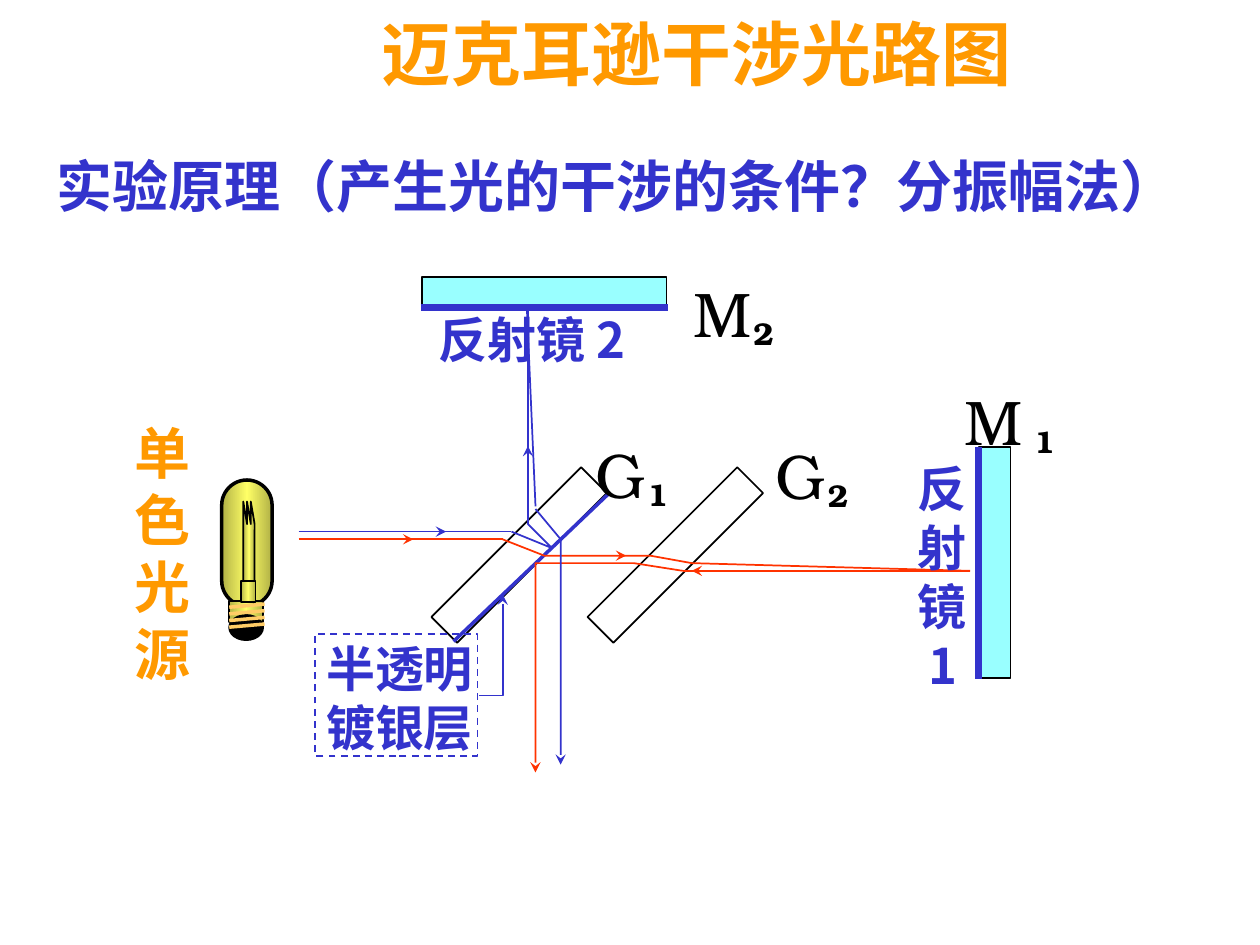
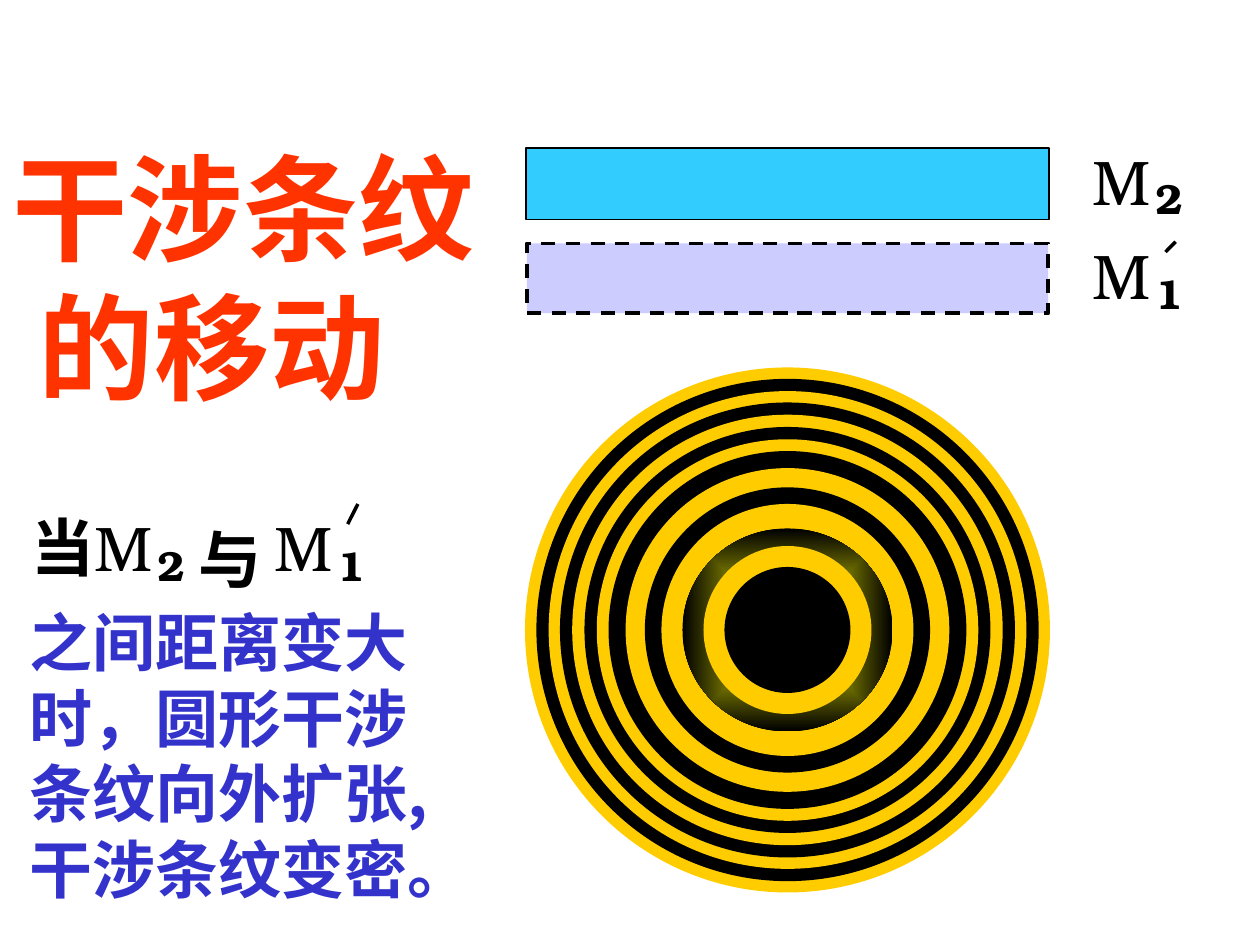
from dataclasses import dataclass

from pptx import Presentation
from pptx.dml.color import RGBColor
from pptx.enum.dml import MSO_LINE
from pptx.enum.shapes import MSO_CONNECTOR, MSO_SHAPE
from pptx.enum.text import MSO_AUTO_SIZE, PP_ALIGN
from pptx.oxml import parse_xml
from pptx.oxml.ns import nsdecls, qn
from pptx.oxml.xmlchemy import OxmlElement
from pptx.util import Pt


@dataclass(frozen=True)
class Theme:
    cjk: str = "Noto Sans CJK SC"
    serif: str = "TeX Gyre Bonum"
    black: str = "000000"
    blue: str = "3333CC"
    red: str = "FF3300"
    orange: str = "FF9900"
    glass: str = "99FFFF"
    mirror: str = "33CCFF"
    image: str = "CCCCFF"
    fringe: str = "FFCC00"
    thread: str = "FFCC66"
    bulb: tuple = ("B1B146", "FFFF66", "B1B146")
    glow: tuple = ("FFFF00", "000000")
    banner: int = 66
    title: int = 40
    heading: int = 32
    body: int = 36
    label: int = 28
    index: int = 24
    small_index: int = 18


T = Theme()
RECT, OVAL = MSO_SHAPE.RECTANGLE, MSO_SHAPE.OVAL


class Deck:
    def __init__(self, theme):
        self.t = theme
        self.prs = Presentation()
        self.prs.slide_width, self.prs.slide_height = Pt(720), Pt(540)

    def new_slide(self):
        self.s = self.prs.slides.add_slide(self.prs.slide_layouts[6])

    def stroke(self, line, color, width, arrow=False, dash=False):
        if color is None:
            line.fill.background()
            return
        line.color.rgb = RGBColor.from_string(color)
        line.width = Pt(width)
        if dash:
            line.dash_style = MSO_LINE.DASH
        if arrow:
            tail = OxmlElement("a:tailEnd")
            tail.set("type", "stealth")
            line._get_or_add_ln().append(tail)

    def paint(self, sp, fill, radial=False):
        if isinstance(fill, str):
            sp.fill.solid()
            sp.fill.fore_color.rgb = RGBColor.from_string(fill)
            return
        sp.fill.background()
        if fill is None:
            return
        step = 100000 // (len(fill) - 1)
        stops = "".join(f'<a:gs pos="{i * step}"><a:srgbClr val="{c}"/></a:gs>'
                        for i, c in enumerate(fill))
        mode = ('<a:path path="rect"><a:fillToRect l="50000" t="50000" r="50000" b="50000"/></a:path>'
                if radial else '<a:lin ang="10800000" scaled="0"/>')
        grad = parse_xml(f'<a:gradFill {nsdecls("a")}><a:gsLst>{stops}</a:gsLst>{mode}</a:gradFill>')
        pr = sp._element.spPr
        pr.replace(pr.find(qn("a:noFill")), grad)

    def shape(self, kind, x, y, w, h, fill=None, line=None, width=1,
              dash=False, turn=0, radial=False):
        sp = self.s.shapes.add_shape(kind, Pt(x), Pt(y), Pt(w), Pt(h))
        sp.shadow.inherit = False
        sp.rotation = turn
        self.paint(sp, fill, radial)
        self.stroke(sp.line, line, width, dash=dash)
        return sp

    def line(self, color, start, end, width=1, arrow=False):
        c = self.s.shapes.add_connector(MSO_CONNECTOR.STRAIGHT, *map(Pt, start + end))
        c._element.spPr.append(OxmlElement("a:effectLst"))
        self.stroke(c.line, color, width, arrow)

    def bend(self, color, *points, fill=None, arrow=False):
        pts = [(Pt(x), Pt(y)) for x, y in points]
        fb = self.s.shapes.build_freeform(*pts[0])
        fb.add_line_segments(pts[1:], close=False)
        sp = fb.convert_to_shape()
        sp.shadow.inherit = False
        self.paint(sp, fill)
        self.stroke(sp.line, color, 1, arrow)

    def text(self, x, y, w, h, lines, size, color, font=None, bold=True,
             wrap=False, last_indent=0, align=PP_ALIGN.LEFT):
        tf = self.s.shapes.add_textbox(Pt(x), Pt(y), Pt(w), Pt(h)).text_frame
        tf.word_wrap = wrap
        tf.auto_size = MSO_AUTO_SIZE.SHAPE_TO_FIT_TEXT
        tf.text = "\n".join(lines)
        for p in tf.paragraphs:
            p.alignment = align
            f = p.font
            f.name, f.size, f.bold = font or self.t.cjk, Pt(size), bold
            f.color.rgb = RGBColor.from_string(color)
            for r in p.runs:
                r.font.name = f.name
                ea = OxmlElement("a:ea")
                ea.set("typeface", self.t.cjk)
                r.font._element.append(ea)
        if last_indent:
            tf.paragraphs[-1]._p.get_or_add_pPr().set("marL", str(Pt(last_indent)))

    def symbol(self, x, y, letter, index, dx=36, dy=17.3, size=T.index):
        t = self.t
        self.text(x, y, 47.5 if letter == "M" else 43.2, 50.4, [letter],
                  t.body, t.black, t.serif, bold=False)
        self.text(x + dx, y + dy, 14.4 + size * 0.67, 7.2 + size * 1.2, [index],
                  size, t.black, t.serif)


def light_path(d):
    d.new_slide()
    for x in (236.2, 325.4):
        d.shape(RECT, x, 306.7, 121, 20.9, line=T.black, turn=315)
    d.line(T.red, (170.6, 308.2), (287.3, 308.2))
    d.line(T.blue, (348.5, 281.5), (259.2, 366.5), 2)
    d.bend(T.red, (287.3, 308.2), (311, 317.5), (371.5, 317.5), (395.3, 321.8), (554.4, 326.2))
    d.line(T.red, (554.4, 326.2), (390.2, 326.2))
    d.bend(T.red, (390.2, 326.2), (362.2, 321.8), (306, 321.8), (306, 441.4), arrow=True)
    d.line(T.blue, (170.6, 303.8), (292.3, 303.8))
    d.bend(T.blue, (292.3, 303.8), (315.4, 313.2), (301.7, 299.5), (301.7, 175.7))
    d.line(T.blue, (301, 174.2), (306, 289.4))
    d.bend(T.blue, (306, 290.9), (320.4, 308.2), (320.4, 437), arrow=True)

    d.shape(RECT, 241.2, 158.4, 139.7, 17, T.glass, T.black)
    d.shape(RECT, 559.4, 255.6, 18, 132, T.glass, T.black)
    d.line(T.blue, (559.4, 255.6), (559.4, 388), 4)
    d.line(T.blue, (240.5, 175.7), (381.6, 175.7), 4)

    for color, start, end in ((T.blue, (226.8, 303.8), (254.9, 303.8)),
                              (T.blue, (301.7, 268.6), (301.7, 254.9)),
                              (T.red, (208, 308.2), (236.2, 308.2)),
                              (T.red, (329.8, 317.5), (357.8, 317.5)),
                              (T.red, (423.4, 326.2), (395.3, 326.2))):
        d.line(color, start, end, arrow=True)
    for x, y, letter, index, dx in ((389.5, 153.4, "M", "2", 33.8),
                                    (544.3, 215.3, "M", "1", 39.6),
                                    (436.3, 246.2, "G", "2", 29.5),
                                    (333.4, 245.5, "G", "1", 29.5)):
        d.symbol(x, y, letter, index, dx, 22.3, T.small_index)

    d.text(69.8, 235.4, 46.8, 161.3, "单色光源", T.heading, T.orange)
    d.text(517, 258.5, 42.5, 141.8, "反射镜1", T.label, T.blue, last_indent=6.3)
    d.text(243.4, 173.5, 133.2, 41, ["反射镜 2"], T.label, T.blue)

    glass = d.shape(MSO_SHAPE.ROUNDED_RECTANGLE, 126.7, 274.3, 28.8, 72, T.bulb, T.black, 2)
    glass.adjustments[0] = 0.5
    d.shape(RECT, 131, 343.4, 19.4, 12.2, T.bulb, T.black)
    d.shape(OVAL, 131, 351.4, 19.4, 14.4, T.black, T.black)
    coil = [(139 + 2.16 * (i // 2 + i % 2), 299.5 if i % 2 else 286.6) for i in range(6)]
    d.bend(T.black, (139, 343.4), *coil, (145.4, 345.6), fill=T.bulb)
    for i in range(4):
        y = 347 + 3.8 * i
        d.line(T.thread, (131, y), (151.2, y - 1.8), 2)
    d.shape(RECT, 137.5, 332, 8.6, 12.2, T.bulb, T.black)

    d.text(179.3, 361.4, 98.6, 74.9, ["半透明", "镀银层"], T.label, T.blue)
    d.shape(RECT, 180, 362.2, 92.9, 69.8, line=T.blue, dash=True)
    d.bend(T.blue, (273.6, 397.4), (287.3, 397.4), (287.3, 339.8), arrow=True)
    d.text(211, 2.2, 374.4, 55.4, ["迈克耳逊干涉光路图"], T.title, T.orange)
    d.text(25.2, 82.8, 676, 46, ["实验原理（产生光的干涉的条件？分振幅法）"],
           T.heading, T.blue, wrap=True, align=PP_ALIGN.JUSTIFY)


def fringe_motion(d):
    d.new_slide()

    def disc(w, h, fill, **style):
        d.shape(OVAL, 450 - w / 2, 360 - h / 2, w, h, fill, **style)

    for i, size in enumerate((300, 287, 273, 260, 246, 232, 218, 204.5, 185, 163, 144)):
        disc(size, size, T.black if i % 2 else T.fringe)
    disc(120, 116, T.glow, radial=True)
    disc(95, 95, T.fringe, line=T.fringe)
    disc(72, 72, T.black)

    d.shape(RECT, 300.5, 84.5, 299, 41, T.mirror, T.black)
    d.shape(RECT, 301, 139, 298, 40, T.image, T.black, 2, dash=True)
    for x, y, index in ((617, 77.8, "2"), (617, 131.8, "1"),
                        (46.8, 287.3, "2"), (149.8, 287.3, "1")):
        d.symbol(x, y, "M", index)
    d.line(T.black, (671.8, 138.2), (666, 144), 2)
    d.line(T.black, (204.5, 288), (198.7, 299.5), 2)
    for x, y, word in ((10.8, 287.3, "当"), (106.6, 293.8, "与")):
        d.text(x, y, 50.4, 50.4, [word], T.body, T.black, T.serif)
    d.text(10, 341.3, 266.4, 180,
           ["之间距离变大", "时，圆形干涉", "条纹向外扩张,", "干涉条纹变密。"], T.body, T.blue)
    d.text(0, 74.9, 278.6, 165.6, ["干涉条纹", "的移动"], T.banner, T.red, last_indent=15)


def main():
    d = Deck(T)
    light_path(d)
    fringe_motion(d)
    d.prs.save("out.pptx")


if __name__ == "__main__":
    main()
